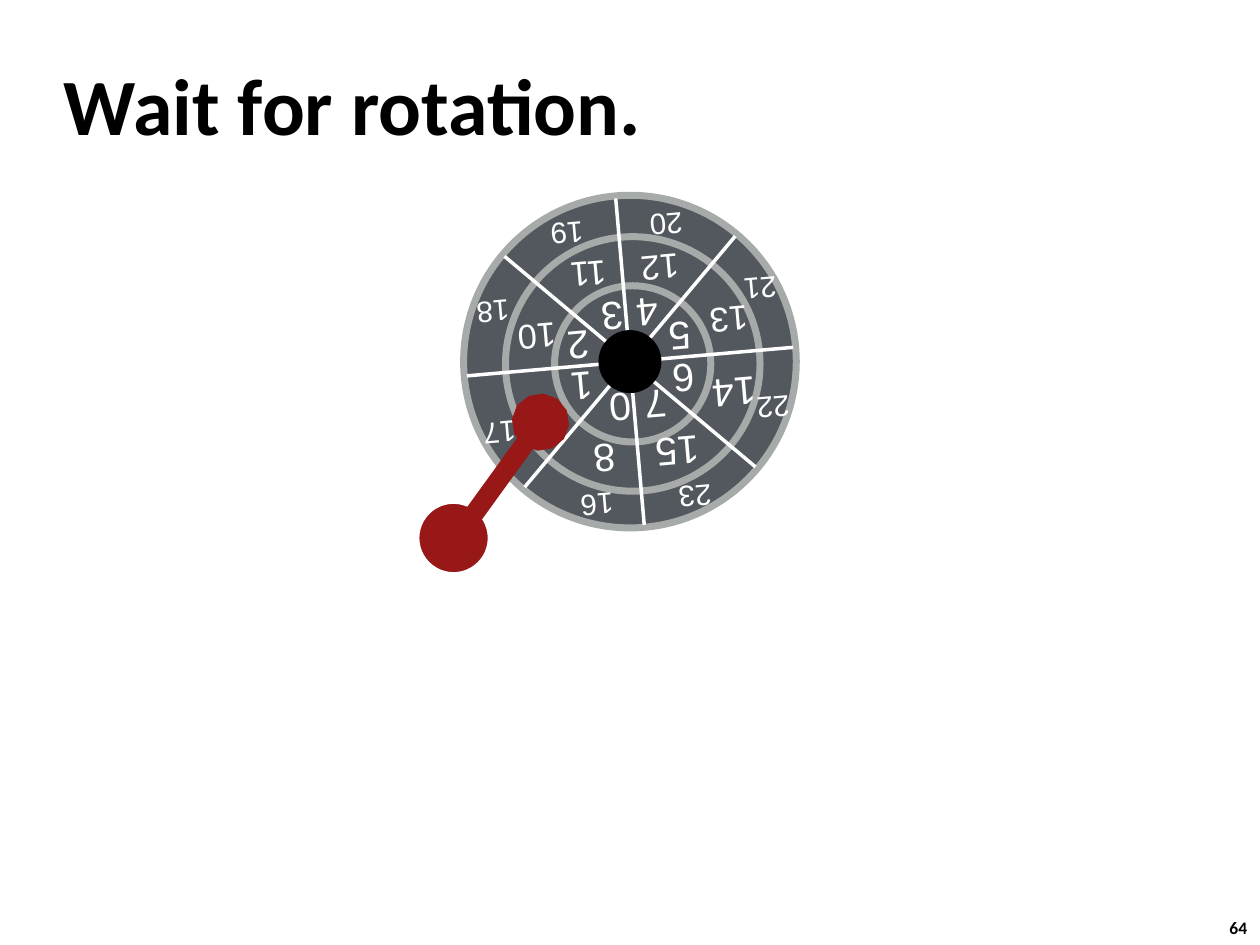
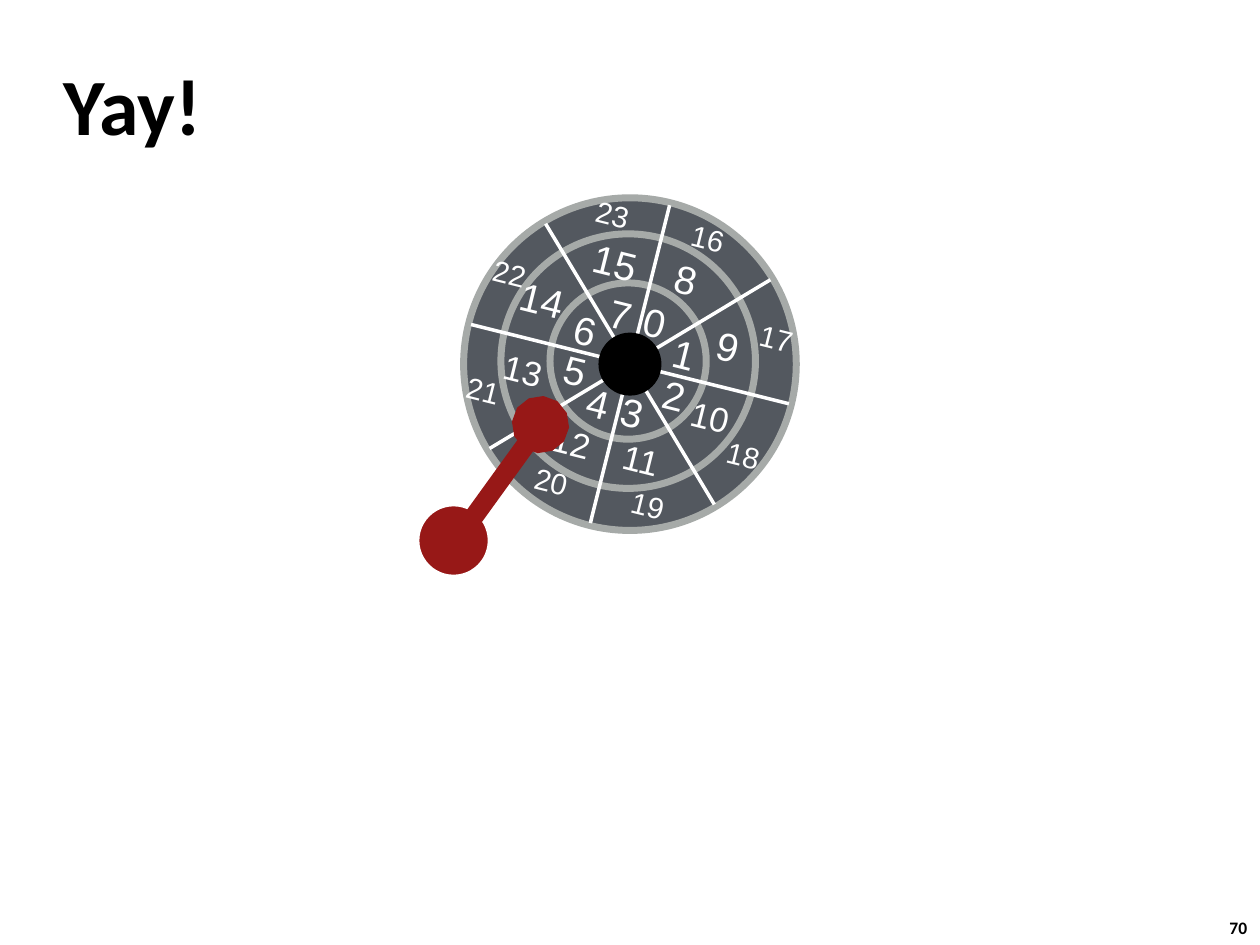
"""Build two slides that show a spinning disk and its read arm."""
import math

from lxml import etree
from pptx import Presentation
from pptx import util as u
from pptx.dml.color import RGBColor
from pptx.enum import shapes, text
from pptx.oxml import ns

BLACK = RGBColor(0x00, 0x00, 0x00)
WHITE = RGBColor(0xFF, 0xFF, 0xFF)
PLATTER = RGBColor(0x53, 0x58, 0x5F)
TRACK_EDGE = RGBColor(0xA6, 0xAA, 0xA8)
ARM_RED = RGBColor(0x97, 0x18, 0x17)

DISK_X = 5
SPOKE_RADIUS = 1.3
HUB_RADIUS = 0.25
TRACKS = [(1.32, 0), (1.01, -0.02), (0.62, -0.02)]
SECTOR_OFFSETS = [
    (0.11, -0.37), (0.40, -0.18), (0.40, 0.15), (0.11, 0.36),
    (-0.17, 0.36), (-0.41, 0.15), (-0.41, -0.18), (-0.17, -0.37),
    (0.27, -0.76), (0.72, -0.33), (0.72, 0.25), (0.28, 0.71),
    (-0.30, 0.71), (-0.81, 0.25), (-0.80, -0.33), (-0.31, -0.76),
    (0.36, -1.12), (1.08, -0.48), (1.05, 0.48), (0.41, 1.05),
    (-0.38, 1.05), (-1.08, 0.48), (-1.10, -0.47), (-0.42, -1.12),
]


def rotate(x, y, angle):
    """Turn an offset clockwise by an angle in degrees."""
    turn = math.radians(angle)
    return (x * math.cos(turn) - y * math.sin(turn),
            x * math.sin(turn) + y * math.cos(turn))


def add_text(page, words, left, top, width, height, size, font, color,
             bold=False, wrap=False, inset=0.1, anchor=text.MSO_ANCHOR.TOP):
    """Add a one-line text box and return it."""
    box = page.shapes.add_textbox(*map(u.Inches, (left, top, width, height)))
    frame = box.text_frame
    frame.word_wrap = wrap
    frame.vertical_anchor = anchor
    frame.margin_left = frame.margin_right = u.Inches(inset)
    frame.margin_top = frame.margin_bottom = u.Inches(min(inset, 0.05))
    para = frame.paragraphs[0]
    para.text = words
    para.font.name = font
    para.font.size = u.Pt(size)
    para.font.bold = bold
    para.font.color.rgb = color
    return box


def add_circle(page, x, y, radius, fill, edge=None, edge_width=0):
    """Add a filled circle around a centre point."""
    circle = page.shapes.add_shape(
        shapes.MSO_SHAPE.OVAL, u.Inches(x - radius), u.Inches(y - radius),
        u.Inches(2 * radius), u.Inches(2 * radius))
    circle.shadow.inherit = False
    circle.fill.solid()
    circle.fill.fore_color.rgb = fill
    if edge is None:
        circle.line.fill.background()
    else:
        circle.line.color.rgb = edge
        circle.line.width = u.Pt(edge_width)


def add_line(page, start, end, color, width, oval_tail=False):
    """Add a straight line, with an oval at its end if asked."""
    line = page.shapes.add_connector(
        shapes.MSO_CONNECTOR.STRAIGHT, *map(u.Inches, (*start, *end)))
    line.line.color.rgb = color
    line.line.width = u.Pt(width)
    if oval_tail:
        etree.SubElement(line.line._get_or_add_ln(), ns.qn("a:tailEnd"), type="oval")
    etree.SubElement(line._element.spPr, ns.qn("a:effectLst"))


def sector_size(sector):
    """Give the text size of a sector number."""
    if sector >= 16:
        return 16.9
    return 19.7 if 10 <= sector <= 13 else 22.5


def add_sector(page, sector, disk_y, angle):
    """Add a sector number that turns with the disk."""
    size = sector_size(sector)
    width = 0.08 + len(str(sector)) * size * 0.56 / 72
    height = 0.08 + size * 1.2 / 72
    x, y = rotate(*SECTOR_OFFSETS[sector], angle)
    label = add_text(page, str(sector), DISK_X + x - width / 2,
                     disk_y + y - height / 2, width, height, size, "Arial",
                     WHITE, inset=0.04, anchor=text.MSO_ANCHOR.MIDDLE)
    label.rotation = angle


def add_disk(page, disk_y, angle, hidden_sectors=()):
    """Add the tracks, spokes, hub and sector numbers of the disk."""
    for radius, shift in TRACKS:
        x, y = rotate(shift, shift, angle)
        add_circle(page, DISK_X + x, disk_y + y, radius, PLATTER, TRACK_EDGE, 4)
    for step in range(4):
        x, y = rotate(SPOKE_RADIUS, 0, angle + 45 * step)
        add_line(page, (DISK_X - x, disk_y - y), (DISK_X + x, disk_y + y), WHITE, 2)
    add_circle(page, DISK_X, disk_y, HUB_RADIUS, BLACK)
    for sector in range(len(SECTOR_OFFSETS)):
        if sector not in hidden_sectors:
            add_sector(page, sector, disk_y, angle)


def add_arm(page, disk_y):
    """Add the read arm with its pivot."""
    add_circle(page, 3.6, disk_y + 1.4, 0.285, ARM_RED, WHITE, 2)
    add_line(page, (3.61, disk_y + 1.42), (4.29, disk_y + 0.48), ARM_RED, 11,
             oval_tail=True)


def add_page(deck, title, number):
    """Add a blank slide with its title and page number."""
    page = deck.slides.add_slide(deck.slide_layouts[6])
    add_text(page, number, 9.66, 7.23, 0.37, 0.27, 10, "Calibri", BLACK, bold=True)
    add_text(page, title, 0.41, 0.41, 8.3, 0.83, 45.6, "Calibri", BLACK,
             bold=True, wrap=True, anchor=text.MSO_ANCHOR.MIDDLE)
    return page


def main():
    """Build and save the deck."""
    deck = Presentation()
    deck.slide_width, deck.slide_height = u.Inches(10), u.Inches(7.5)
    for title, number, disk_y, angle, hidden_sectors in (
            ("Wait for rotation.", "64", 2.87, 175, (9,)),
            ("Yay!", "70", 2.89, 14, ())):
        page = add_page(deck, title, number)
        add_disk(page, disk_y, angle, hidden_sectors)
        add_arm(page, disk_y)
    deck.save("out.pptx")


if __name__ == "__main__":
    main()
